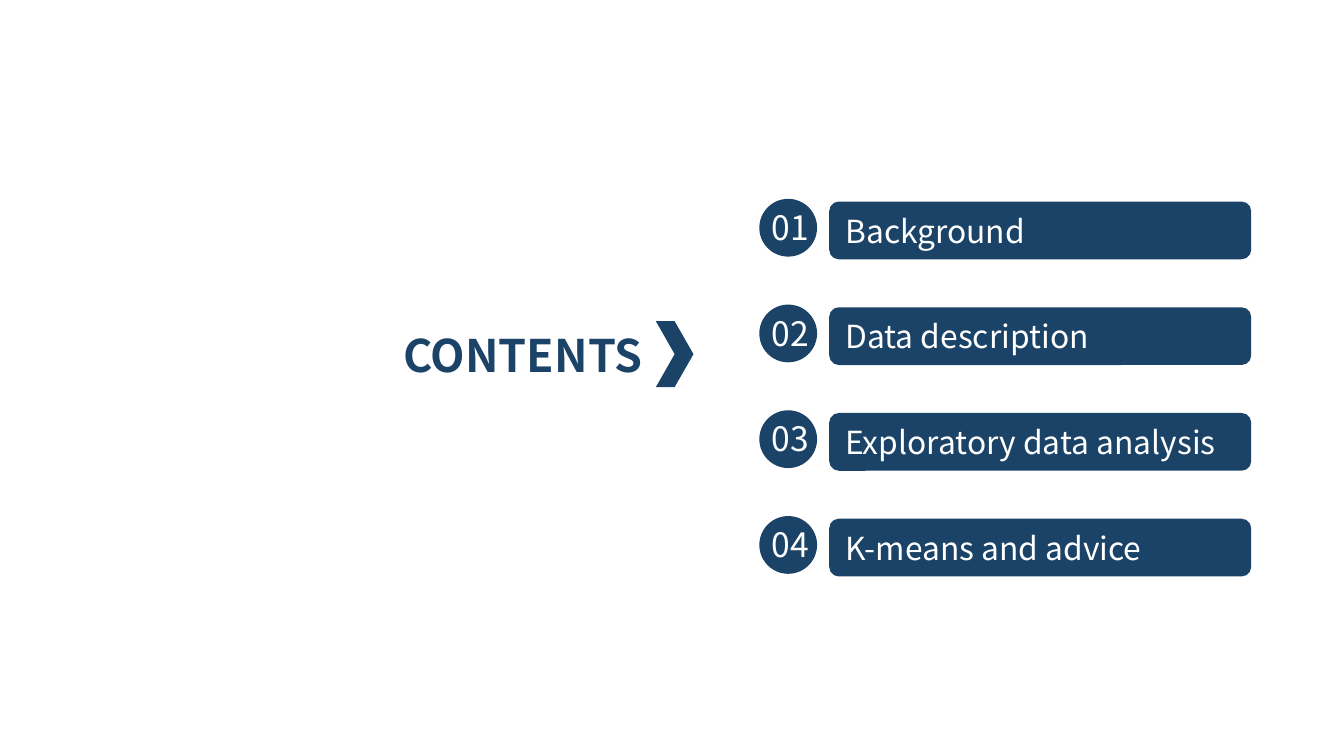
from pptx import Presentation
from pptx.dml.color import RGBColor
from pptx.enum.shapes import MSO_SHAPE
from pptx.enum.text import MSO_ANCHOR, PP_ALIGN
from pptx.util import Inches, Pt

BAR, DISC, CHEVRON = MSO_SHAPE.ROUNDED_RECTANGLE, MSO_SHAPE.OVAL, MSO_SHAPE.CHEVRON
LEFT, CENTER = PP_ALIGN.LEFT, PP_ALIGN.CENTER
MIDDLE = MSO_ANCHOR.MIDDLE

FONT = "Noto Sans CJK SC"
NAVY, WHITE = "1B4367", "FFFFFF"
TOPICS = ["Background", "Data description", "Exploratory data analysis", "K-means and advice"]
FIRST_TOP, LAST_TOP = 1.48, 3.84
ROW_STEP = (LAST_TOP - FIRST_TOP) / (len(TOPICS) - 1)
ITEM_HEIGHT = 0.43


def color(hex_value):
    return RGBColor.from_string(hex_value)


def write(shape, text, size, hex_color, align=LEFT, bold=False):
    frame = shape.text_frame
    frame.text = text
    frame.word_wrap = True
    frame.vertical_anchor = MIDDLE
    paragraph = frame.paragraphs[0]
    paragraph.alignment = align
    formats = {"name": FONT, "size": Pt(size), "bold": bold}
    for attribute, value in formats.items():
        setattr(paragraph.font, attribute, value)
    paragraph.font.color.rgb = color(hex_color)


def add_solid(shapes, preset, left, top, width, height):
    solid = shapes.add_shape(preset, Inches(left), Inches(top), Inches(width), Inches(height))
    solid.shadow.inherit = False
    solid.fill.solid()
    solid.fill.fore_color.rgb = color(NAVY)
    solid.line.fill.background()
    return solid


def add_title(slide, text):
    title = slide.shapes.title
    place = {"left": 2.9, "top": 2.39, "width": 2.31, "height": 0.5}
    for attribute, value in place.items():
        setattr(title, attribute, Inches(value))
    write(title, text, 24, NAVY, bold=True)


def add_topic(slide, number, topic):
    top = FIRST_TOP + (number - 1) * ROW_STEP

    # Topic bar
    bar = add_solid(slide.shapes, BAR, 6.17, top + 0.02, 3.14, ITEM_HEIGHT)
    write(bar, topic, 17, WHITE)

    # Numbered disc
    badge = slide.shapes.add_group_shape()
    add_solid(badge.shapes, DISC, 5.65, top, ITEM_HEIGHT, ITEM_HEIGHT)
    label = badge.shapes.add_textbox(Inches(5.62), Inches(top + 0.01), Inches(0.52), Inches(0.4))
    write(label, f"{number:02d}", 18, WHITE, align=CENTER)


def main():
    # Widescreen page, 16:9
    deck = Presentation()
    deck.slide_width = Inches(10)
    deck.slide_height = Inches(10 * 9 / 16)
    slide = deck.slides.add_slide(deck.slide_layouts[5])
    slide.background.fill.solid()
    slide.background.fill.fore_color.rgb = color(WHITE)

    # Heading and pointer
    add_title(slide, "CONTENTS")
    add_solid(slide.shapes, CHEVRON, 4.88, 2.39, 0.28, 0.49)

    # Numbered topics
    for number, topic in enumerate(TOPICS, start=1):
        add_topic(slide, number, topic)

    deck.save("out.pptx")


if __name__ == "__main__":
    main()
